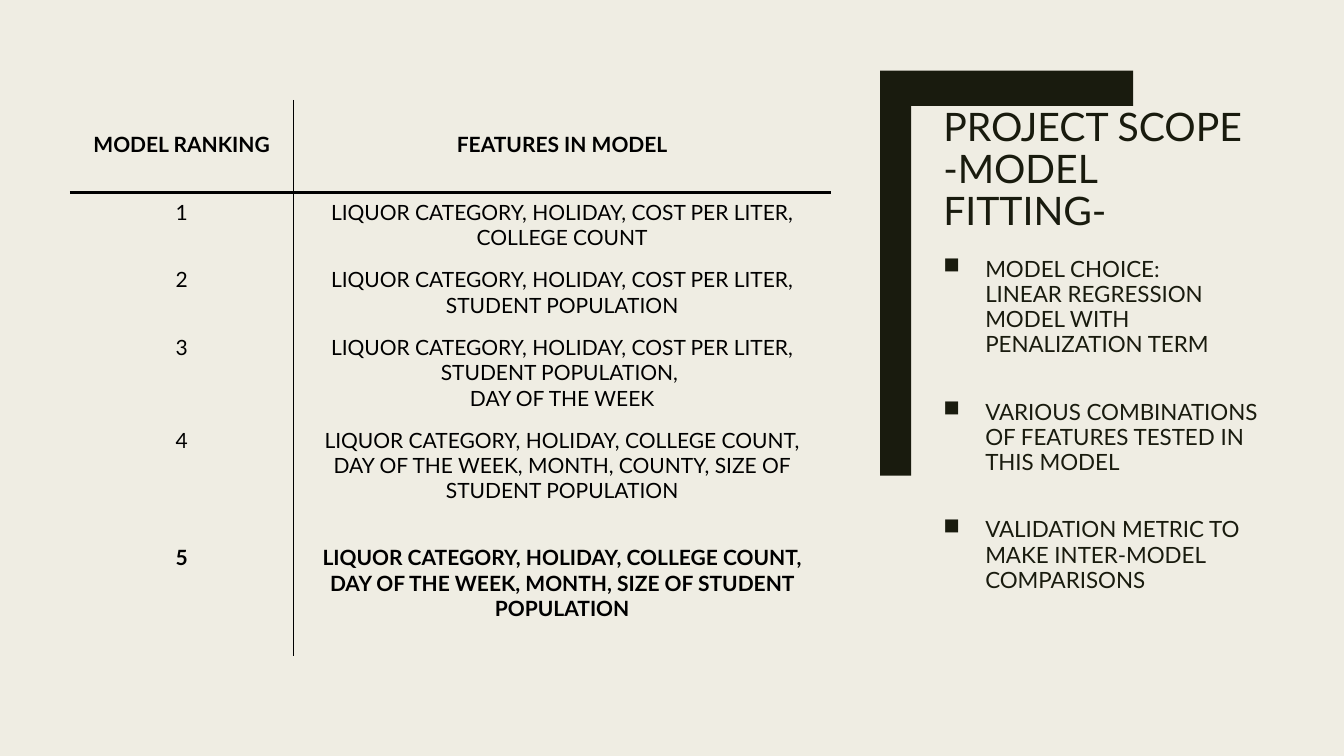
from lxml import etree
from pptx import Presentation
from pptx.dml.color import RGBColor
from pptx.enum.text import MSO_ANCHOR, PP_ALIGN
from pptx.oxml.ns import qn
from pptx.util import Pt

CENTER, LEFT = PP_ALIGN.CENTER, PP_ALIGN.LEFT
TOP, BOTTOM = MSO_ANCHOR.TOP, MSO_ANCHOR.BOTTOM

FONT = "Lato"
CREAM, DARK, BLACK = "EFEDE3", "191B0E", "000000"

COLUMN_WIDTHS = [159.8, 383.8]
ROW_HEIGHTS = [66.2, 48.4, 48.4, 66, 84.2, 84.2]
RANKING = [
    ("MODEL RANKING", "FEATURES IN MODEL"),
    ("1", "LIQUOR CATEGORY, HOLIDAY, COST PER LITER, COLLEGE COUNT"),
    ("2", "LIQUOR CATEGORY, HOLIDAY, COST PER LITER, STUDENT POPULATION"),
    ("3", "LIQUOR CATEGORY, HOLIDAY, COST PER LITER, STUDENT POPULATION, \vDAY OF THE WEEK"),
    ("4", "LIQUOR CATEGORY, HOLIDAY, COLLEGE COUNT, DAY OF THE WEEK, MONTH, COUNTY, "
          "SIZE OF STUDENT POPULATION"),
    ("5", "LIQUOR CATEGORY, HOLIDAY, COLLEGE COUNT, DAY OF THE WEEK, MONTH, "
          "SIZE OF STUDENT POPULATION"),
]
BOLD_ROWS = (0, 5)
POINTS = [
    "MODEL CHOICE: \vLINEAR REGRESSION MODEL WITH PENALIZATION TERM",
    "VARIOUS COMBINATIONS OF FEATURES TESTED IN THIS MODEL",
    "VALIDATION METRIC TO MAKE INTER-MODEL COMPARISONS",
]


def color(value):
    return RGBColor.from_string(value)


def style_paragraph(para, text, size, ink, align=LEFT, bold=False):
    para.text = text
    para.alignment = align
    font = para.font
    font.name, font.size, font.bold = FONT, Pt(size), bold
    font.color.rgb = color(ink)


def add_bullet(para, indent):
    props = para._p.get_or_add_pPr()
    props.set("marL", str(Pt(indent)))
    props.set("indent", str(-Pt(indent)))
    etree.SubElement(props, qn("a:buChar")).set("char", "■")


def add_text(page, left, top, width, height, texts, size, spacing,
             anchor=TOP, indent=0, gap=0):
    box = page.shapes.add_textbox(Pt(left), Pt(top), Pt(width), Pt(height))
    frame = box.text_frame
    frame.word_wrap = True
    frame.vertical_anchor = anchor
    for index, text in enumerate(texts):
        para = frame.add_paragraph() if index else frame.paragraphs[0]
        para.line_spacing = spacing
        para.space_before = Pt(gap if index else 0)
        if indent:
            add_bullet(para, indent)
        style_paragraph(para, text, size, DARK)


def add_bracket(page, left, top, right, bottom, stem, bar):
    corners = [(left, bottom), (left, top), (right, top), (right, top + bar),
               (left + stem, top + bar), (left + stem, bottom)]
    corners = [(Pt(x), Pt(y)) for x, y in corners]
    builder = page.shapes.build_freeform(*corners[0])
    builder.add_line_segments(corners[1:], close=True)
    bracket = builder.convert_to_shape()
    bracket.shadow.inherit = False
    bracket.fill.solid()
    bracket.fill.fore_color.rgb = color(DARK)
    bracket.line.fill.background()


def set_borders(cell, widths):
    """Draw the sides named in widths and clear the other ones."""
    props = cell._tc.get_or_add_tcPr()
    for side in "LRTB":
        line = etree.SubElement(props, qn("a:ln" + side))
        if side in widths:
            line.set("w", str(Pt(widths[side])))
            fill = etree.SubElement(line, qn("a:solidFill"))
            etree.SubElement(fill, qn("a:srgbClr")).set("val", BLACK)
        else:
            etree.SubElement(line, qn("a:noFill"))


def add_ranking_table(page, left, top):
    frame = page.shapes.add_table(
        len(RANKING), len(COLUMN_WIDTHS), Pt(left), Pt(top),
        Pt(sum(COLUMN_WIDTHS)), Pt(sum(ROW_HEIGHTS)))
    table = frame.table
    table.first_row = table.horz_banding = False
    for column, width in zip(table.columns, COLUMN_WIDTHS):
        column.width = Pt(width)
    for r, texts in enumerate(RANKING):
        table.rows[r].height = Pt(ROW_HEIGHTS[r])
        for c, text in enumerate(texts):
            cell = table.cell(r, c)
            cell.margin_left = cell.margin_right = Pt(9.4)
            cell.margin_top = Pt(5 if r else 23)
            cell.margin_bottom = Pt(5)
            widths = {"L": 1} if c else {"R": 1}
            if r == 0:
                widths["B"] = 2
            elif r == 1:
                widths["T"] = 2
            set_borders(cell, widths)
            cell.fill.background()
            style_paragraph(cell.text_frame.paragraphs[0], text, 15, BLACK,
                            CENTER, r in BOLD_ROWS)


def main():
    deck = Presentation()
    deck.slide_width, deck.slide_height = Pt(960), Pt(540)
    page = deck.slides.add_slide(deck.slide_layouts[6])
    page.background.fill.solid()
    page.background.fill.fore_color.rgb = color(CREAM)

    # Title and bullet points
    add_text(page, 666.7, 87.1, 240.5, 83.5,
             ["PROJECT SCOPE\v-MODEL FITTING-"], 28, 0.89, anchor=BOTTOM)
    add_text(page, 666.7, 180, 240.5, 309.6, POINTS, 16, 0.94, indent=30, gap=30)

    # Corner bracket
    add_bracket(page, 628.6, 50.4, 809.3, 339.8, stem=22.3, bar=25.2)

    # Model ranking
    add_ranking_table(page, 49.9, 71.3)

    deck.save("out.pptx")


if __name__ == "__main__":
    main()
